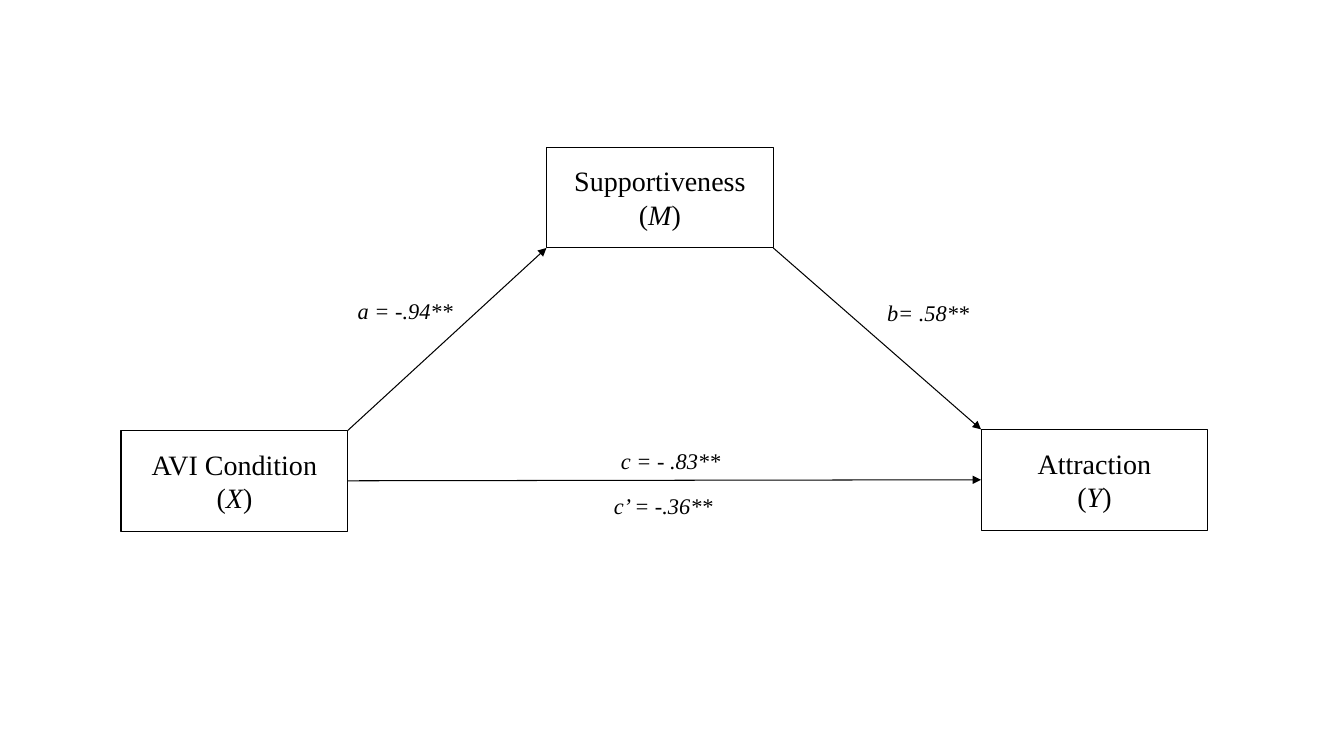
from dataclasses import dataclass

from lxml import etree
from pptx import Presentation
from pptx import util as u
from pptx.dml.color import RGBColor
from pptx.enum import shapes as kind, text as txt
from pptx.oxml.ns import qn
from pptx.slide import Slide
from pptx.text.text import _Paragraph as Para


@dataclass(frozen=True)
class Theme:
    ink: RGBColor = RGBColor(0, 0, 0)
    font: str = "Times New Roman"
    box: int = 20
    label: int = 16
    line: float = 0.75


@dataclass(frozen=True)
class Box:
    title: str
    sign: str
    left: float
    top: float
    width: float = 2.25
    height: float = 1.0

    @property
    def right(self) -> float:
        return self.left + self.width

    @property
    def base(self) -> float:
        return self.top + self.height

    @property
    def mid(self) -> float:
        return self.top + self.height / 2


@dataclass(frozen=True)
class Label:
    words: str
    left: float
    top: float
    width: float
    height: float = 0.37


@dataclass(frozen=True)
class Arrow:
    x1: float
    y1: float
    x2: float
    y2: float


THEME = Theme()
CAUSE = Box("AVI Condition", "X", 1.2, 4.27)
RESULT = Box("Attraction", "Y", 9.73, 4.26)
MEDIUM = Box("Supportiveness", "M", 5.42, 1.46)
BOXES = (CAUSE, RESULT, MEDIUM)
ARROWS = (
    Arrow(CAUSE.right, CAUSE.top, MEDIUM.left, MEDIUM.base),
    Arrow(CAUSE.right, CAUSE.mid, RESULT.left, RESULT.mid),
    Arrow(MEDIUM.right, MEDIUM.base, RESULT.left, RESULT.top),
)
LABELS = (
    Label("c = - .83**", 6.06, 4.39, 1.21),
    Label("c’ = -.36**", 5.99, 4.83, 1.2),
    Label("a = -.94**", 3.45, 2.9, 1.17),
    Label("b= .58**", 8.7, 2.92, 1.03),
)


def place(item: Box | Label) -> tuple[u.Length, ...]:
    """Give the left, top, width and height of an item as lengths."""
    return tuple(u.Inches(n) for n in (item.left, item.top, item.width, item.height))


def add_run(para: Para, words: str, size: int, slant: bool = False) -> None:
    """Add one run in the theme font."""
    run = para.add_run()
    run.text = words
    font = run.font
    font.name, font.size, font.italic = THEME.font, u.Pt(size), slant
    font.color.rgb = THEME.ink


def draw_box(slide: Slide, box: Box) -> None:
    """Draw a variable with its name above its symbol."""
    shape = slide.shapes.add_shape(kind.MSO_SHAPE.RECTANGLE, *place(box))
    shape.shadow.inherit = False
    shape.fill.background()
    shape.line.color.rgb = THEME.ink
    shape.line.width = u.Pt(THEME.line)
    frame = shape.text_frame
    frame.word_wrap = True
    frame.auto_size = txt.MSO_AUTO_SIZE.SHAPE_TO_FIT_TEXT
    frame.vertical_anchor = txt.MSO_ANCHOR.MIDDLE
    head, foot = frame.paragraphs[0], frame.add_paragraph()
    head.alignment = foot.alignment = txt.PP_ALIGN.CENTER
    add_run(head, box.title, THEME.box)
    for part in ("(", box.sign, ")"):
        add_run(foot, part, THEME.box, part == box.sign)


def draw_arrow(slide: Slide, arrow: Arrow) -> None:
    """Draw a straight line that ends in a triangle."""
    ends = (u.Inches(n) for n in (arrow.x1, arrow.y1, arrow.x2, arrow.y2))
    link = slide.shapes.add_connector(kind.MSO_CONNECTOR.STRAIGHT, *ends)
    link.line.color.rgb = THEME.ink
    link.line.width = u.Pt(THEME.line)
    props = link._element.spPr
    etree.SubElement(props.find(qn("a:ln")), qn("a:tailEnd"), type="triangle")
    etree.SubElement(props, qn("a:effectLst"))


def draw_label(slide: Slide, label: Label) -> None:
    """Draw the coefficient of a link in italics."""
    frame = slide.shapes.add_textbox(*place(label)).text_frame
    frame.word_wrap = False
    frame.auto_size = txt.MSO_AUTO_SIZE.SHAPE_TO_FIT_TEXT
    add_run(frame.paragraphs[0], label.words, THEME.label, True)


def main() -> None:
    """Build the mediation model slide and save it."""
    deck = Presentation()
    deck.slide_width, deck.slide_height = u.Inches(13.33), u.Inches(7.5)
    slide = deck.slides.add_slide(deck.slide_layouts[6])
    for box in BOXES:
        draw_box(slide, box)
    for arrow in ARROWS:
        draw_arrow(slide, arrow)
    for label in LABELS:
        draw_label(slide, label)
    deck.save("out.pptx")


if __name__ == "__main__":
    main()
